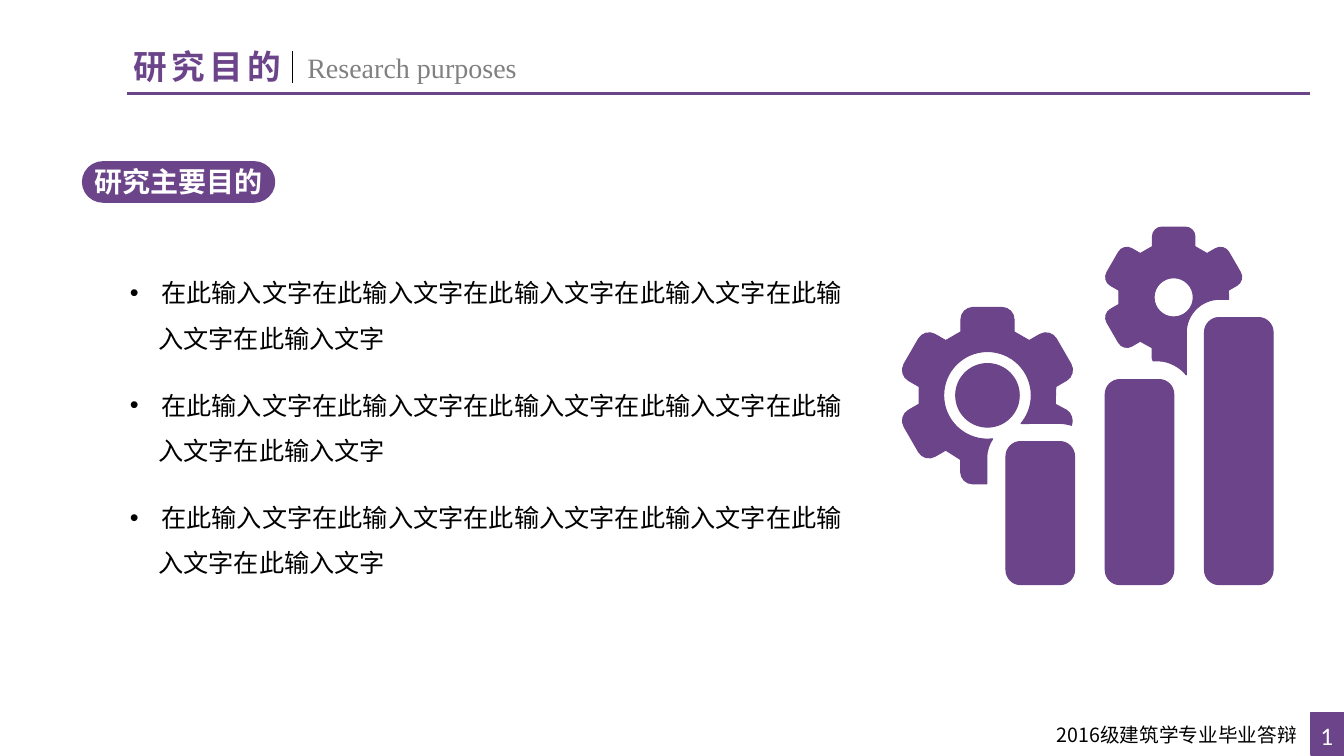
import math

import pptx
import pptx.dml.color
import pptx.enum.shapes
import pptx.enum.text
import pptx.oxml.ns
import pptx.util
from lxml import etree

Pt = pptx.util.Pt
qn = pptx.oxml.ns.qn
SHAPES = pptx.enum.shapes.MSO_SHAPE
ALIGN = pptx.enum.text.PP_ALIGN
COLORS = {"purple": "6C448A", "gray": "808080", "black": "000000", "white": "FFFFFF"}
CJK = "Noto Sans CJK SC"
BULLET_LINES = ("在此输入文字" * 4 + "在此输", "入文字在此输入文字")


def color(name):
    return pptx.dml.color.RGBColor.from_string(COLORS[name])


def paint(shape, line_width):
    shape.shadow.inherit = False
    shape.fill.solid()
    shape.fill.fore_color.rgb = color("purple")
    shape.line.color.rgb = color("purple")
    shape.line.width = Pt(line_width)


def add_block(slide, kind, left, top, width, height):
    shape = slide.shapes.add_shape(kind, Pt(left), Pt(top), Pt(width), Pt(height))
    paint(shape, 1)


def add_line(slide, start, end, line_color, width):
    line = slide.shapes.add_connector(
        pptx.enum.shapes.MSO_CONNECTOR.STRAIGHT, *map(Pt, start + end))
    line.line.color.rgb = color(line_color)
    line.line.width = Pt(width)
    etree.SubElement(line._element.spPr, qn("a:effectLst"))


def add_run(paragraph, text, size=18, font="Calibri", text_color="black",
            bold=False, tracking=0):
    run = paragraph.add_run()
    run.text = text
    run.font.size = Pt(size)
    run.font.name = font
    run.font.bold = bold
    run.font.color.rgb = color(text_color)
    properties = run.font._element
    etree.SubElement(properties, qn("a:ea"), typeface=CJK)
    if tracking:
        properties.set("spc", str(tracking * 100))


def add_text_box(slide, left, top, width, height, wrap=True):
    box = slide.shapes.add_textbox(Pt(left), Pt(top), Pt(width), Pt(height))
    box.text_frame.word_wrap = wrap
    return box.text_frame


def set_indent(paragraph, margin, first_line=0):
    properties = paragraph._p.get_or_add_pPr()
    properties.set("marL", str(Pt(margin)))
    properties.set("indent", str(Pt(first_line)))
    return properties


def add_text(slide, text, left, top, width, height, wrap=True,
             align=ALIGN.LEFT, margin=0, **style):
    paragraph = add_text_box(slide, left, top, width, height, wrap).paragraphs[0]
    paragraph.alignment = align
    set_indent(paragraph, margin)
    add_run(paragraph, text, **style)


def add_bullet(slide, top):
    frame = add_text_box(slide, 85.7, top, 558, 72.7)
    first, second = frame.paragraphs[0], frame.add_paragraph()
    for paragraph, text in zip((first, second), BULLET_LINES):
        paragraph.line_spacing = 1.5
        add_run(paragraph, text)
    properties = set_indent(first, 22.5, -22.5)
    etree.SubElement(properties, qn("a:buFont"), typeface="Arial")
    etree.SubElement(properties, qn("a:buChar"), char="•")
    set_indent(second, 20.3)


# Outlines are lists of segments: one point for a line, three for a curve
def bend(start, corner, end):
    """Curve from start to end, bending towards corner."""
    handles = [tuple(0.45 * p + 0.55 * c for p, c in zip(point, corner))
               for point in (start, end)]
    return (*handles, end)


def arc(center, radius, angles=(0, 90, 180, 270, 360)):
    """Circle arcs through the given angles, clockwise from the right."""
    def at(angle, slope=0):
        cos, sin = math.cos(angle), math.sin(angle)
        return (center[0] + radius * (cos - slope * sin),
                center[1] + radius * (sin + slope * cos))

    turns = [math.radians(angle) for angle in angles]
    segments = [(at(turns[0]),)]
    for first, last in zip(turns, turns[1:]):
        reach = 4 / 3 * math.tan((last - first) / 4)
        segments.append((at(first, reach), at(last, -reach), at(last)))
    return segments


def tooth(center, scale, position):
    """One of six gear teeth, counted clockwise from the top."""
    half, valley, top, radius = 19, -45.4, -62.8, 8.6
    shoulder = top + radius
    outline = [((-half, valley),), ((-half, shoulder),),
               bend((-half, shoulder), (-half, top), (radius - half, top)),
               ((half - radius, top),),
               bend((half - radius, top), (half, top), (half, shoulder)),
               ((half, valley),)]
    angle = math.radians(60 * position)
    cos, sin = math.cos(angle) * scale, math.sin(angle) * scale
    return [tuple((center[0] + x * cos - y * sin, center[1] + x * sin + y * cos)
                  for x, y in segment) for segment in outline]


def cut_gear(center, scale, cut):
    """Gear whose lower right teeth are replaced by the cut outline."""
    right = tooth(center, scale, 0) + tooth(center, scale, 1)
    left = tooth(center, scale, 4) + tooth(center, scale, 5)
    return right + cut + left


def bar(left, top, width=49, bottom=417.6, radius=10.5):
    right = left + width
    sides = [((left + radius, top), (right - radius, top), (right, top)),
             ((right, top + radius), (right, bottom - radius), (right, bottom)),
             ((right - radius, bottom), (left + radius, bottom), (left, bottom)),
             ((left, bottom - radius), (left, top + radius), (left, top))]
    outline = [(sides[0][0],)]
    for (_, end, corner), (following, _, _) in zip(sides, sides[1:] + sides[:1]):
        outline += [(end,), bend(end, corner, following)]
    return outline


def add_outlines(slide, outlines):
    """One freeform from all outlines, in hundredths of a point."""
    def scaled(points):
        return [(round(x * 100), round(y * 100)) for x, y in points]

    builder = slide.shapes.build_freeform(*scaled(outlines[0][0])[0], scale=Pt(0.01))
    for index, outline in enumerate(outlines):
        if index:
            builder.move_to(*scaled(outline[0])[0])
        builder.add_line_segments(
            [point for segment in outline[1:] for point in scaled(segment)], close=True)
    shape = builder.convert_to_shape()
    # Join the three points of each curve
    lines = iter(list(shape._element.iter(qn("a:lnTo"))))
    for outline in outlines:
        for segment in outline[1:]:
            parts = [next(lines) for _ in segment]
            if len(parts) == 3:
                curve = etree.Element(qn("a:cubicBezTo"))
                parts[0].addprevious(curve)
                for part in parts:
                    curve.append(part[0])
                    part.getparent().remove(part)
    paint(shape, 0.75)


def add_gears_and_bars(slide):
    large, small = (705.4, 282.4), (838.4, 212.4)
    large_cut = [((753.8, 288.7),), ((761.8, 293),),
                 bend((761.8, 293), (768, 296.6), (765.4, 303.8)),
                 bend((765.4, 303.8), (761.5, 302.4), (756.7, 302.4)),
                 *arc(large, 31.3, (40, 0, -90, -180, -270, -277)),
                 bend((709.2, 313.2), (704.9, 319), (704.9, 326.2)),
                 ((704.9, 345.6),), ((694.8, 345.6),),
                 bend((694.8, 345.6), (686.2, 345.6), (686.2, 337)),
                 ((686.2, 328.3),)]
    small_cut = [((877.7, 213.8),), ((871.2, 213.8),),
                 bend((871.2, 213.8), (847.4, 213.8), (847.4, 237.6)),
                 ((847.4, 267.8),),
                 bend((847.4, 267.8), (840, 257.8), (828, 257.8)),
                 ((823.7, 257.8),), ((823, 255.6),), ((823, 248.4),)]
    bars = [bar(718.6 + 70.9 * i, 315.4 - 44.3 * i) for i in range(3)]
    add_outlines(slide, bars + [arc(large, 22.7), cut_gear(large, 1, large_cut),
                                arc(small, 14), cut_gear(small, 0.8, small_cut)])


def main():
    presentation = pptx.Presentation()
    presentation.slide_width, presentation.slide_height = Pt(960), Pt(540)
    slide = presentation.slides.add_slide(presentation.slide_layouts[6])

    # Title bar
    add_line(slide, (90.7, 67), (936, 67), "purple", 2.25)
    add_text(slide, "研究目的", 88.6, 29.2, 122.4, 36, wrap=False, size=24,
             font=CJK, text_color="purple", bold=True, tracking=3)
    add_text(slide, "Research purposes", 212.4, 32.4, 164.2, 31.7, wrap=False,
             size=20, font="Times New Roman", text_color="gray")
    add_line(slide, (208.8, 36.7), (208.8, 59), "black", 0.5)

    # Section label
    add_block(slide, SHAPES.RECTANGLE, 74.2, 115.6, 107.3, 28.8)
    for left in (59, 166.6):
        add_block(slide, SHAPES.OVAL, left, 115.6, 29.5, 28.8)
    add_text(slide, "研究主要目的", 31.7, 113.8, 192.2, 32.4, align=ALIGN.CENTER,
             size=20, font=CJK, text_color="white", bold=True)

    # Purposes
    for row in range(3):
        add_bullet(slide, 183.9 + 80.3 * row)

    # Footer
    add_block(slide, SHAPES.RECTANGLE, 936.4, 509, 23.6, 30.2)
    add_text(slide, "2016级建筑学专业毕业答辩", 727.2, 512.8, 232.8, 27, margin=20.5,
             size=14, font=CJK)
    add_text(slide, "1", 936, 511.2, 18, 28.8, text_color="white")

    add_gears_and_bars(slide)
    presentation.save("out.pptx")


main()
